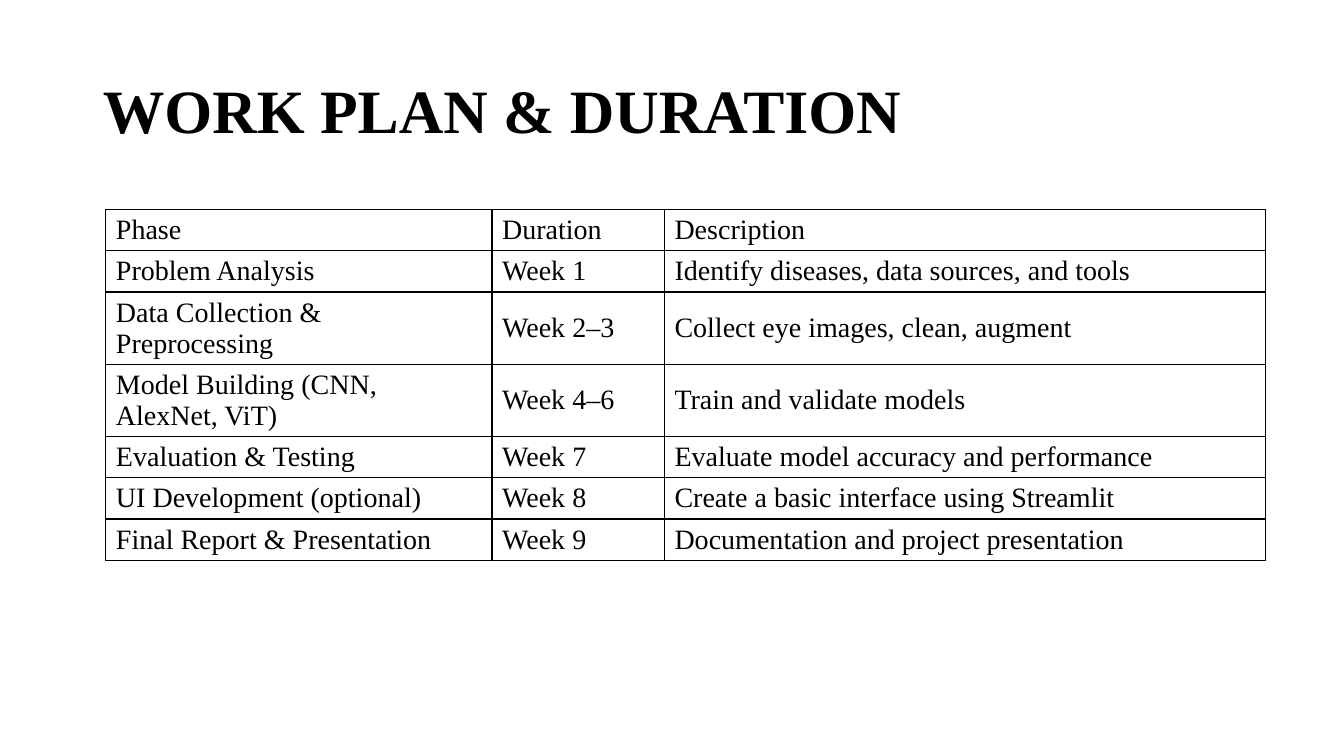
from lxml.etree import SubElement
from pptx import Presentation
from pptx.dml.color import RGBColor
from pptx.enum.text import MSO_ANCHOR, PP_ALIGN
from pptx.oxml.ns import qn
from pptx.util import Inches, Pt

BLACK = "000000"
TITLE_FONT = {"name": "Times New Roman", "size": Pt(44), "bold": True}
CELL_FONT = {"name": "Times New Roman", "size": Pt(20), "bold": False}

COL_WIDTHS = [3.83, 1.71, 5.96]
ONE_LINE, TWO_LINES = 0.4, 0.7
PLAN = [
    (ONE_LINE, "Phase", "Duration", "Description"),
    (ONE_LINE, "Problem Analysis", "Week 1", "Identify diseases, data sources, and tools"),
    (TWO_LINES, "Data Collection & Preprocessing", "Week 2–3", "Collect eye images, clean, augment"),
    (TWO_LINES, "Model Building (CNN, AlexNet, ViT)", "Week 4–6", "Train and validate models"),
    (ONE_LINE, "Evaluation & Testing", "Week 7", "Evaluate model accuracy and performance"),
    (ONE_LINE, "UI Development (optional)", "Week 8", "Create a basic interface using Streamlit"),
    (ONE_LINE, "Final Report & Presentation", "Week 9", "Documentation and project presentation"),
]


def color(hex_value):
    return RGBColor.from_string(hex_value)


def set_text(tf, text, font_format):
    p = tf.paragraphs[0]
    p.alignment = PP_ALIGN.LEFT
    r = p.add_run()
    r.text = text
    for name, value in font_format.items():
        setattr(r.font, name, value)
    r.font.color.rgb = color(BLACK)
    return p


def add_title(s, text, left, top, width, height):
    sp = s.shapes.title
    sp.left, sp.top, sp.width, sp.height = map(Inches, (left, top, width, height))
    tf = sp.text_frame
    tf.vertical_anchor = MSO_ANCHOR.MIDDLE
    set_text(tf, text, TITLE_FONT).line_spacing = 0.9


def set_borders(cell, hex_value, width):
    # Border lines precede the fill in the cell properties
    tc_pr = cell._tc.get_or_add_tcPr()
    for i, side in enumerate(("lnL", "lnR", "lnT", "lnB")):
        ln = SubElement(tc_pr, qn(f"a:{side}"), w=str(Pt(width)))
        fill = SubElement(ln, qn("a:solidFill"))
        SubElement(fill, qn("a:srgbClr"), val=hex_value)
        tc_pr.insert(i, ln)


def add_plan_table(s, rows, left, top):
    width = sum(COL_WIDTHS)
    height = sum(row[0] for row in rows)
    frame = s.shapes.add_table(len(rows), len(COL_WIDTHS), Inches(left), Inches(top),
                               Inches(width), Inches(height))
    table = frame.table
    table.first_row = table.horz_banding = False
    for column, col_width in zip(table.columns, COL_WIDTHS):
        column.width = Inches(col_width)
    for row, (row_height, *texts) in zip(table.rows, rows):
        row.height = Inches(row_height)
        for cell, text in zip(row.cells, texts):
            cell.vertical_anchor = MSO_ANCHOR.MIDDLE
            cell.fill.background()
            set_borders(cell, BLACK, 1)
            set_text(cell.text_frame, text, CELL_FONT)


def main():
    prs = Presentation()
    prs.slide_width, prs.slide_height = Inches(13.33), Inches(7.5)
    s = prs.slides.add_slide(prs.slide_layouts[5])  # Title Only

    # Heading
    add_title(s, "WORK PLAN & DURATION", 0.92, 0.4, 11.5, 1.45)

    # Schedule
    add_plan_table(s, PLAN, 1.05, 2.08)

    prs.save("out.pptx")


if __name__ == "__main__":
    main()
